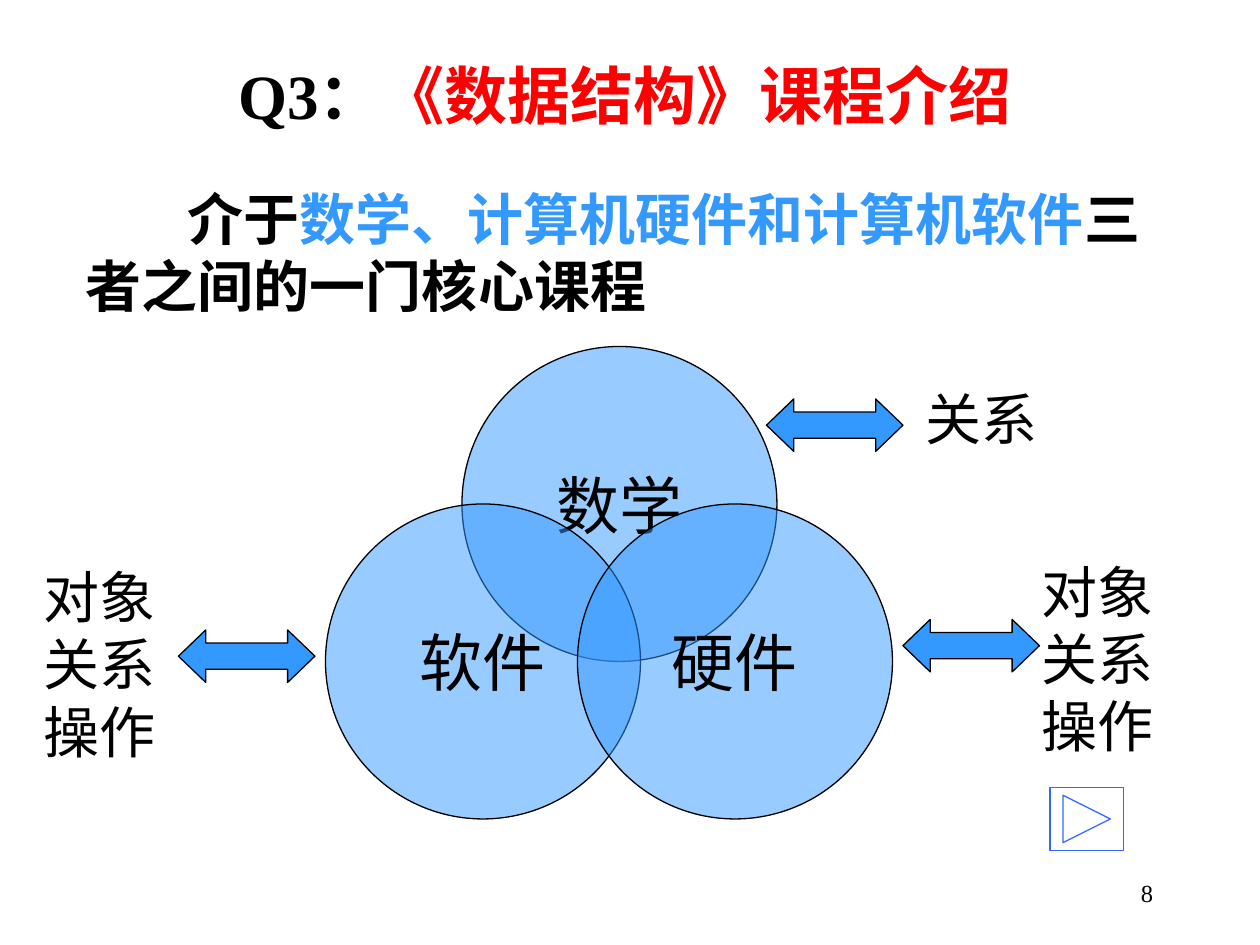
"""Build the slide that places the data structures course between three fields."""
from pptx import Presentation
from pptx.dml.color import RGBColor
from pptx.enum import shapes, text
from pptx.oxml import xmlchemy
from pptx.util import Pt
from lxml import etree

COLORS = {"black": "000000", "white": "FFFFFF", "red": "FF0000",
          "blue": "3399FF", "button": "3366FF"}
KINDS = shapes.MSO_SHAPE
ALIGN = text.PP_ALIGN
MIDDLE = text.MSO_ANCHOR.MIDDLE
TOP = text.MSO_ANCHOR.TOP
DRAWING = "http://schemas.openxmlformats.org/drawingml/2006/main"


def write(shape, lines, size, font, align=ALIGN.LEFT, anchor=TOP, bold=False, wrap=True):
    frame = shape.text_frame
    frame.word_wrap = wrap
    frame.vertical_anchor = anchor
    for index, pieces in enumerate(lines):
        para = frame.paragraphs[0] if index == 0 else frame.add_paragraph()
        para.alignment = align
        for words, color in pieces:
            span = para.add_run()
            span.text = words
            span.font.size = Pt(size)
            span.font.name = font
            span.font.bold = bold
            span.font.color.rgb = RGBColor.from_string(COLORS[color])


def draw(parent, kind, place, fill=None, line=None):
    shape = parent.add_shape(kind, *map(Pt, place))
    shape.shadow.inherit = False
    if fill:
        shape.fill.solid()
        shape.fill.fore_color.rgb = RGBColor.from_string(COLORS[fill])
    else:
        shape.fill.background()
    if line:
        shape.line.color.rgb = RGBColor.from_string(COLORS[line])
        shape.line.width = Pt(0.75)
    else:
        shape.line.fill.background()
    return shape


deck = Presentation()
deck.slide_width, deck.slide_height = Pt(720), Pt(540)
page = deck.slides.add_slide(deck.slide_layouts[6])

number = page.shapes.add_textbox(Pt(516), Pt(492), Pt(150), Pt(36))
write(number, [[("8", "black")]], 14, "Times New Roman", ALIGN.RIGHT, MIDDLE)

summary = page.shapes.add_textbox(Pt(42), Pt(102), Pt(618), Pt(84))
write(summary, [[("介于", "black"), ("数学、计算机硬件和计算机软件", "blue"),
                 ("三者之间的一门核心课程", "black")]], 32, "Times New Roman", bold=True)
summary.text_frame.paragraphs[0]._p.get_or_add_pPr().set("indent", str(Pt(58)))

draw(page.shapes, KINDS.ACTION_BUTTON_FORWARD_OR_NEXT, (600, 450, 42, 36), line="button")

relation = page.shapes.add_textbox(Pt(522), Pt(216), Pt(84), Pt(45))
write(relation, [[("关系", "black")]], 32, "Arial")

for left, top in [(588, 315), (18, 318)]:
    label = draw(page.shapes, KINDS.RECTANGLE, (left, top, 78.5, 122.4), "white")
    write(label, [[(word, "black")] for word in ("对象", "关系", "操作")],
          32, "Arial", wrap=False)

venn = page.shapes.add_group_shape()
for field, left, top in [("数学", 264, 198), ("软件", 186, 288), ("硬件", 330, 288)]:
    circle = draw(venn.shapes, KINDS.OVAL, (left, top, 180, 180), "blue", "black")
    tint = circle.fill._xPr.find(f".//{{{DRAWING}}}srgbClr")
    etree.SubElement(tint, f"{{{DRAWING}}}alpha", val="50000")
    write(circle, [[(field, "black")]], 36, "Arial Narrow", ALIGN.CENTER, MIDDLE, wrap=False)

for left, top in [(438, 228), (516, 354), (102, 360)]:
    arrow = draw(page.shapes, KINDS.LEFT_RIGHT_ARROW, (left, top, 78, 30), "blue", "black")
    arrow.adjustments[0] = 0.5
    arrow.adjustments[1] = 0.52

title = page.shapes.add_textbox(Pt(88), Pt(15), Pt(538.5), Pt(78))
write(title, [[("Q3：", "black"), ("《数据结构》课程介绍", "red")]],
      36, "Times New Roman", ALIGN.CENTER, MIDDLE, bold=True)

deck.save("out.pptx")
